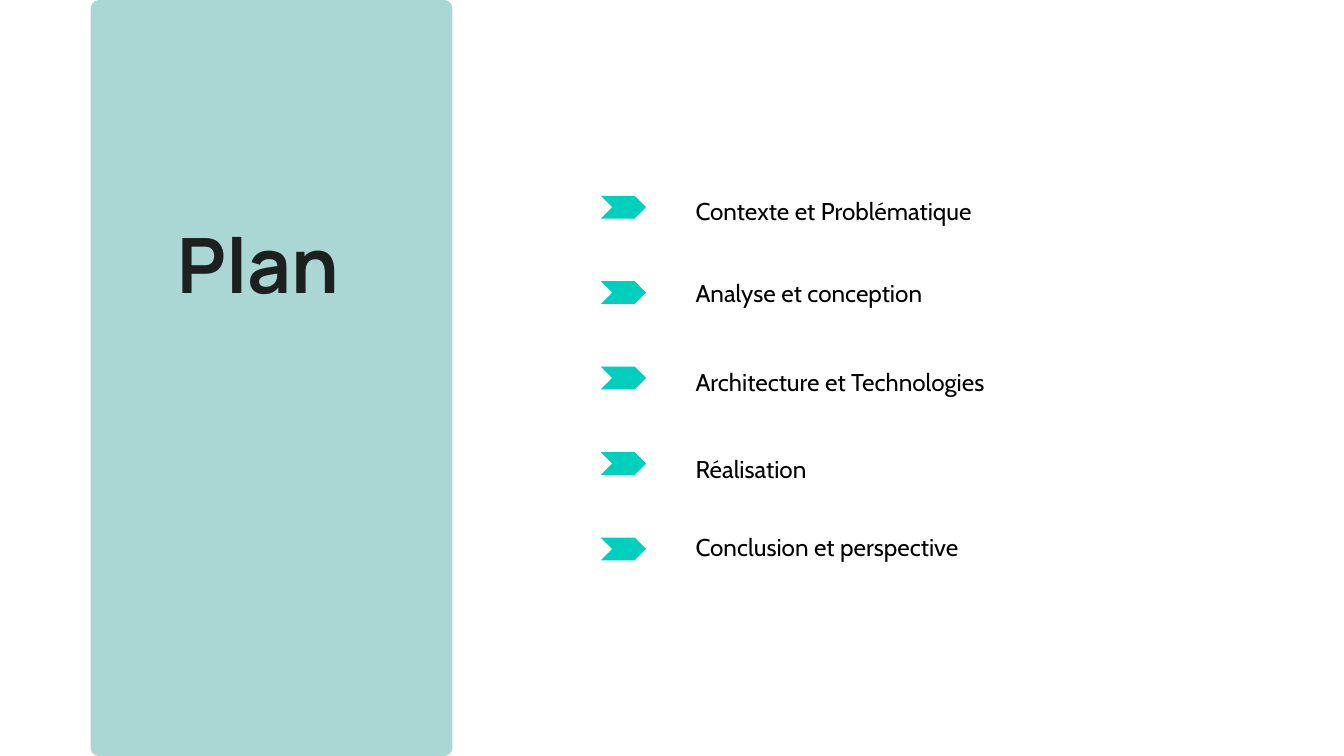
import pptx
import pptx.dml.color
import pptx.enum.shapes
import pptx.enum.text
import pptx.util

Cm, Pt = pptx.util.Cm, pptx.util.Pt
SHAPE = pptx.enum.shapes.MSO_SHAPE
ALIGN = pptx.enum.text.PP_ALIGN

TITLE = "Plan"
# Text, top of its box (cm), line spacing (pt)
SECTIONS = [
    ("Contexte et Problématique", 7.42, 30.9),
    ("Analyse et conception", 10.54, 30.9),
    ("Architecture et Technologies", 13.89, 30.9),
    ("Réalisation", 16.97, 36.4),
    ("Conclusion et perspective", 20.12, 30.9),
]
THEME = {
    "panel": "AAD7D4", "arrow": "00CFBD", "title": "1C2120", "text": "000000",
    "title_font": "Manrope", "text_font": "Cabin",
    "title_size": 81.8, "text_size": 26,
}
PANEL_LEFT, PANEL_WIDTH, PANEL_RADIUS = 3.43, 13.67, 0.31
ARROW_LEFT, ARROW_TOP, ARROW_PITCH = 22.71, 7.4, 3.23
ARROW_WIDTH, ARROW_HEIGHT = 1.71, 0.86
TEXT_LEFT, TEXT_WIDTH, TEXT_HEIGHT = 26.29, 13.8, 1.07


def rgb(name):
    return pptx.dml.color.RGBColor.from_string(THEME[name])


def add_block(s, kind, left, top, width, height, color, adjustment):
    sp = s.shapes.add_shape(kind, left, top, width, height)
    sp.adjustments[0] = adjustment
    sp.shadow.inherit = False
    sp.fill.solid()
    sp.fill.fore_color.rgb = rgb(color)
    sp.line.fill.background()
    return sp


def set_text(sp, text, *, font, size, color, spacing, align, bold=False):
    tf = sp.text_frame
    tf.margin_left = tf.margin_top = tf.margin_right = tf.margin_bottom = 0
    tf.word_wrap = True
    tf.auto_size = pptx.enum.text.MSO_AUTO_SIZE.SHAPE_TO_FIT_TEXT
    tf.vertical_anchor = pptx.enum.text.MSO_ANCHOR.TOP
    p = tf.paragraphs[0]
    p.alignment = align
    p.line_spacing = Pt(spacing)
    p.space_before = Pt(0)
    r = p.add_run()
    r.text = text
    r.font.name = THEME[font]
    r.font.size = Pt(THEME[size])
    r.font.bold = bold
    r.font.color.rgb = rgb(color)


def main():
    prs = pptx.Presentation()
    prs.slide_width = Cm(50.8)
    prs.slide_height = prs.slide_width * 9 // 16
    s = prs.slides.add_slide(prs.slide_layouts[5])

    title = s.shapes.title
    title.left, title.top, title.width, title.height = Cm(6.71), Cm(8.86), Cm(7.09), Cm(3.2)
    set_text(title, TITLE, font="title_font", size="title_size", color="title",
             spacing=79.3, align=ALIGN.LEFT, bold=True)

    panel = add_block(s, SHAPE.ROUNDED_RECTANGLE, Cm(PANEL_LEFT), 0, Cm(PANEL_WIDTH),
                      prs.slide_height, "panel", PANEL_RADIUS / PANEL_WIDTH)
    title.element.addprevious(panel.element)  # the panel lies behind the title

    for i, (text, top, spacing) in enumerate(SECTIONS):
        add_block(s, SHAPE.CHEVRON, Cm(ARROW_LEFT), Cm(ARROW_TOP + i * ARROW_PITCH),
                  Cm(ARROW_WIDTH), Cm(ARROW_HEIGHT), "arrow", 0.5)
        box = s.shapes.add_textbox(Cm(TEXT_LEFT), Cm(top), Cm(TEXT_WIDTH), Cm(TEXT_HEIGHT))
        set_text(box, text, font="text_font", size="text_size", color="text",
                 spacing=spacing, align=ALIGN.JUSTIFY)

    prs.save("out.pptx")


if __name__ == "__main__":
    main()
